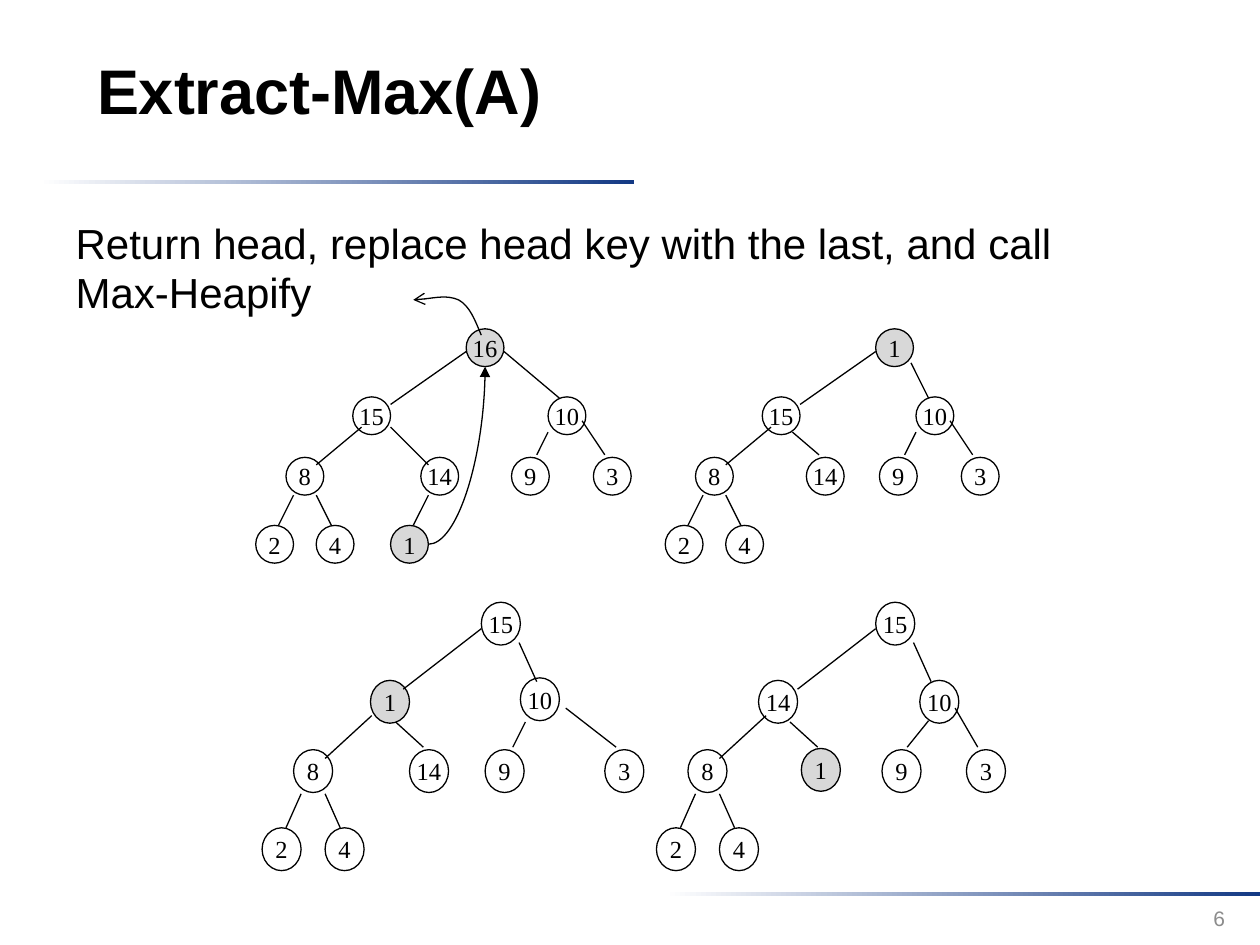
from lxml.etree import SubElement
from pptx import Presentation
from pptx.dml.color import RGBColor
from pptx.enum.shapes import MSO_CONNECTOR, MSO_SHAPE
from pptx.enum.text import MSO_ANCHOR, MSO_AUTO_SIZE, PP_ALIGN
from pptx.oxml.ns import qn
from pptx.util import Inches, Pt

COLORS = {"ink": "000000", "paper": "FFFFFF", "rule": "133984", "marked": "B2B2B2", "number": "8C8C8C"}
MARKED_KEYS = (1, 16)

UPPER_LEFT_NODES = [(2.8, 3.15, 15), (2.27, 3.63, 8), (2.51, 4.17, 4), (2.03, 4.17, 2)]
UPPER_LEFT_EDGES = [(3.7, 2.79, 3.1, 3.21), (2.87, 3.39, 2.51, 3.69),
                    (2.51, 3.93, 2.63, 4.17), (2.33, 3.93, 2.21, 4.17)]
UPPER_RIGHT_NODES = [(4.35, 3.15, 10), (4.06, 3.63, 9), (4.71, 3.63, 3)]
UPPER_RIGHT_EDGES = [(4.35, 3.43, 4.26, 3.61), (4.62, 3.34, 4.8, 3.61)]
LOWER_NODES = [(3.82, 4.78, 15), (2.33, 5.95, 8), (2.58, 6.57, 4), (2.08, 6.57, 2)]
LOWER_EDGES = [(3.82, 4.99, 3.2, 5.47), (4.12, 5.1, 4.26, 5.41),
               (2.95, 5.68, 2.58, 6.02), (3.14, 5.73, 3.36, 5.93),
               (2.58, 6.3, 2.7, 6.57), (2.39, 6.3, 2.27, 6.57)]


def shift_nodes(nodes, offset):
    return [(left + offset, top, key) for left, top, key in nodes]


def shift_edges(edges, offset):
    return [(x1 + offset, y1, x2 + offset, y2) for x1, y1, x2, y2 in edges]


class HeapSlide:
    def __init__(self, slide):
        self.slide = slide
        self.shapes = slide.shapes

    def color(self, name):
        return RGBColor.from_string(COLORS[name])

    def format_text(self, paragraph, size, font="Arial", color="ink", align=PP_ALIGN.LEFT, bold=False):
        paragraph.alignment = align
        for run in paragraph.runs:
            run.font.name = font
            run.font.size = Pt(size)
            run.font.bold = bold
            run.font.color.rgb = self.color(color)

    def place(self, shape, left, top, width, height):
        shape.left, shape.top = Inches(left), Inches(top)
        shape.width, shape.height = Inches(width), Inches(height)

    def outline(self, shape):
        shape.line.color.rgb = self.color("ink")
        shape.line.width = Pt(0.75)

    def arrowhead(self, shape, kind):
        SubElement(shape.line._get_or_add_ln(), qn("a:tailEnd"), type=kind)

    def title(self, text):
        title = self.shapes.title
        self.place(title, 0.67, 0.42, 8.5, 0.58)
        frame = title.text_frame
        frame.text = text
        frame.auto_size = MSO_AUTO_SIZE.NONE
        frame.vertical_anchor = MSO_ANCHOR.MIDDLE
        self.format_text(frame.paragraphs[0], 36, bold=True)

    def body(self, lines):
        body = self.slide.placeholders[1]
        self.place(body, 0.5, 1.75, 9.07, 0.86)
        frame = body.text_frame
        frame.text = "\n".join(lines)
        frame.auto_size = MSO_AUTO_SIZE.NONE
        for index, paragraph in enumerate(frame.paragraphs):
            properties = paragraph._p.get_or_add_pPr()
            properties.set("marL", "0")
            properties.set("indent", "0")
            SubElement(properties, qn("a:buNone"))
            paragraph.line_spacing = 0.8
            paragraph.space_before = Pt(5 if index else 0)
            self.format_text(paragraph, 24)

    def page_number(self, text):
        box = self.shapes.add_textbox(Inches(7.49), Inches(7.09), Inches(2.33), Inches(0.4))
        frame = box.text_frame
        frame.word_wrap = True
        frame.vertical_anchor = MSO_ANCHOR.MIDDLE
        frame.text = text
        self.format_text(frame.paragraphs[0], 12, color="number", align=PP_ALIGN.RIGHT)

    def rule(self, left, top):
        bar = self.shapes.add_shape(MSO_SHAPE.RECTANGLE, Inches(left), Inches(top), Inches(4.72), Inches(0.03))
        bar.shadow.inherit = False
        bar.line.fill.background()
        bar.fill.gradient()
        bar.fill.gradient_angle = 0
        for stop, name in zip(bar.fill.gradient_stops, ("paper", "rule")):
            stop.color.rgb = self.color(name)

    def node(self, left, top, key, width, height):
        node = self.shapes.add_shape(MSO_SHAPE.OVAL, Inches(left), Inches(top), Inches(width), Inches(height))
        node.shadow.inherit = False
        self.outline(node)
        if key in MARKED_KEYS:
            node.fill.solid()
            node.fill.fore_color.rgb = self.color("marked")
            fill_color = node._element.spPr.find(qn("a:solidFill")).find(qn("a:srgbClr"))
            SubElement(fill_color, qn("a:alpha"), val="50000")
        else:
            node.fill.background()
        frame = node.text_frame
        frame.margin_left = frame.margin_right = frame.margin_top = frame.margin_bottom = 0
        frame.word_wrap = False
        frame.vertical_anchor = MSO_ANCHOR.MIDDLE
        frame.text = str(key)
        self.format_text(frame.paragraphs[0], 14, "Times New Roman", align=PP_ALIGN.CENTER)

    def connector(self, points, kind=MSO_CONNECTOR.STRAIGHT):
        connector = self.shapes.add_connector(kind, *map(Inches, points))
        self.outline(connector)
        SubElement(connector._element.spPr, qn("a:effectLst"))
        return connector

    def tree(self, nodes, edges, width, height):
        for left, top, key in nodes:
            self.node(left, top, key, width, height)
        for edge in edges:
            self.connector(edge)

    def replace_arrow(self, points):
        arrow = self.connector(points, MSO_CONNECTOR.CURVE)
        arrow._element.spPr.find(qn("a:prstGeom")).set("prst", "curvedConnector2")
        self.arrowhead(arrow, "triangle")

    def extract_arrow(self, points):
        start, *control_points = [(Inches(x), Inches(y)) for x, y in points]
        builder = self.shapes.build_freeform(*start)
        builder.add_line_segments(control_points, close=False)
        arrow = builder.convert_to_shape()
        arrow.shadow.inherit = False
        arrow.fill.background()
        self.outline(arrow)
        self.arrowhead(arrow, "arrow")
        outline = arrow._element.find(".//" + qn("a:path"))
        segments = outline.findall(qn("a:lnTo"))
        for index in range(0, len(segments), 3):
            curve = SubElement(outline, qn("a:cubicBezTo"))
            for segment in segments[index:index + 3]:
                curve.append(segment[0])
                outline.remove(segment)


def main():
    presentation = Presentation()
    presentation.slide_width, presentation.slide_height = Inches(10), Inches(7.5)
    heap = HeapSlide(presentation.slides.add_slide(presentation.slide_layouts[1]))

    heap.rule(0.31, 1.43)
    heap.rule(5.28, 7.08)
    heap.title("Extract-Max(A)")
    heap.body(["Return head, replace head key with the last, and call", "Max-Heapify"])

    upper_size = (0.3, 0.3)
    heap.tree(
        [(3.7, 2.61, 16), (3.34, 3.63, 14), (3.1, 4.17, 1)] + UPPER_LEFT_NODES + UPPER_RIGHT_NODES,
        [(4, 2.79, 4.44, 3.16), (3.1, 3.39, 3.4, 3.69), (3.4, 3.93, 3.28, 4.17)]
        + UPPER_LEFT_EDGES + UPPER_RIGHT_EDGES, *upper_size)
    heap.tree(
        [(6.95, 2.61, 1), (6.4, 3.63, 14)]
        + shift_nodes(UPPER_LEFT_NODES, 3.25) + shift_nodes(UPPER_RIGHT_NODES, 2.92),
        [(7.23, 2.88, 7.37, 3.16), (6.29, 3.43, 6.5, 3.61)]
        + shift_edges(UPPER_LEFT_EDGES, 3.25) + shift_edges(UPPER_RIGHT_EDGES, 2.92), *upper_size)
    heap.extract_arrow([(3.82, 2.66), (3.77, 2.54), (3.73, 2.43), (3.64, 2.38),
                        (3.55, 2.34), (3.34, 2.38), (3.28, 2.38)])
    heap.replace_arrow((3.4, 4.32, 3.85, 2.91))

    lower_size = (0.31, 0.34)
    heap.tree(
        LOWER_NODES + [(2.94, 5.4, 1), (3.25, 5.95, 14), (4.13, 5.38, 10), (3.85, 5.95, 9), (4.8, 5.95, 3)],
        LOWER_EDGES + [(4.17, 5.73, 4.07, 5.93), (4.49, 5.62, 4.89, 5.93)], *lower_size)
    heap.tree(
        shift_nodes(LOWER_NODES, 3.13)
        + [(6.02, 5.4, 14), (6.36, 5.94, 1), (7.3, 5.4, 10), (7, 5.95, 9), (7.67, 5.95, 3)],
        shift_edges(LOWER_EDGES, 3.13)
        + [(7.37, 5.72, 7.2, 5.93), (7.58, 5.62, 7.76, 5.93)], *lower_size)

    heap.page_number("6")
    presentation.save("out.pptx")


if __name__ == "__main__":
    main()
